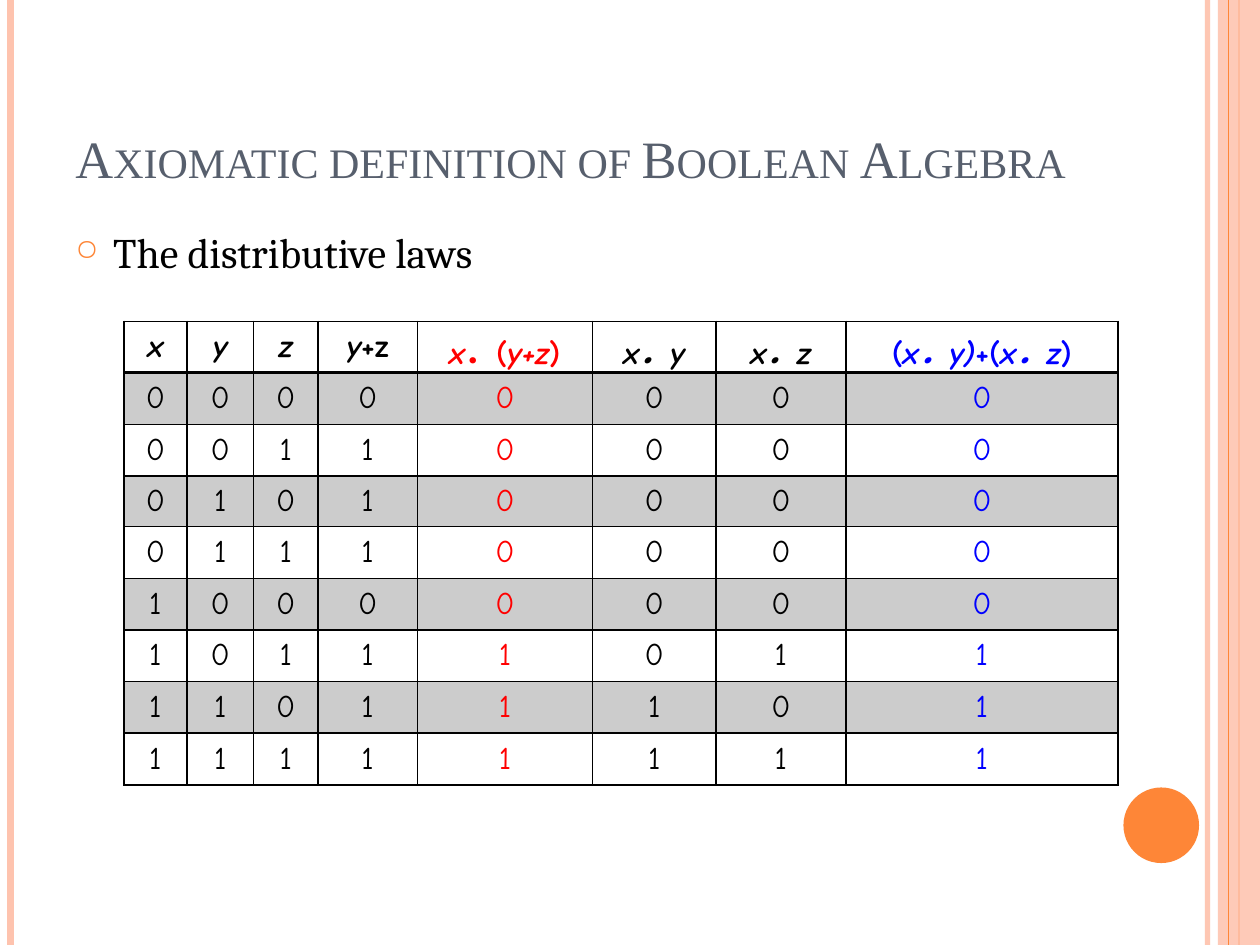
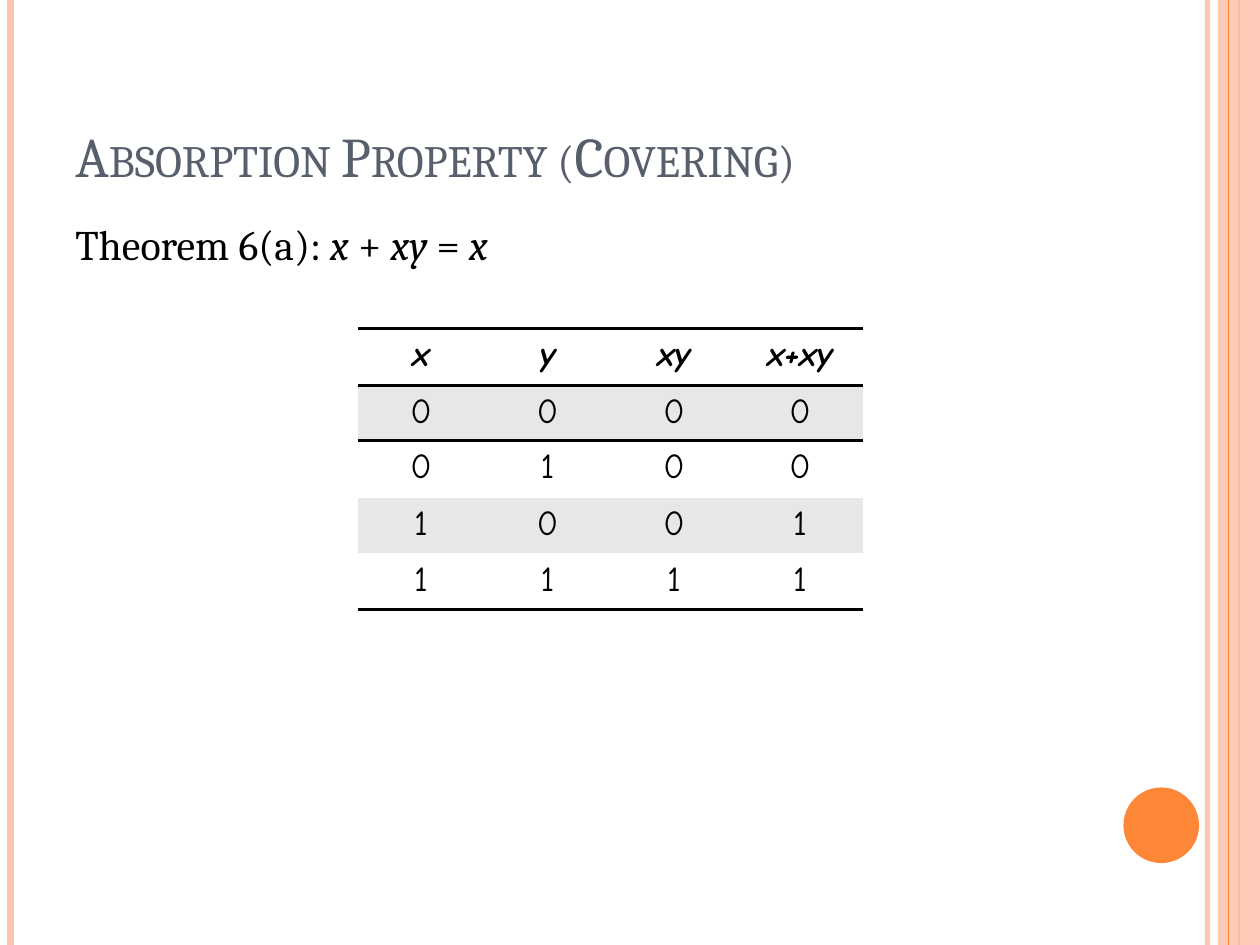
from itertools import product

from lxml.etree import SubElement
from pptx import Presentation
from pptx.dml.color import RGBColor
from pptx.enum.shapes import MSO_CONNECTOR as LINK, MSO_SHAPE as SHAPE
from pptx.enum.text import MSO_ANCHOR as ANCHOR, PP_ALIGN as ALIGN
from pptx.oxml.ns import qn
from pptx.util import Inches, Pt

CELL = Inches(10) // 120
COLUMNS, ROWS = 120, 90
BLACK, WHITE, SLATE = "000000", "FFFFFF", "575F6D"
ORANGE, PEACH, RED, BLUE = "FE8637", "FEC3AE", "FF0000", "0000FF"
PLAIN_TABLE = "{2D5ABB26-0587-4C30-8999-92F81FD0307C}"


def paint(fill, color, owner=None, opacity=100):
    fill.solid()
    fill.fore_color.rgb = RGBColor.from_string(color)
    if opacity < 100:
        for shade in owner.iter(qn("a:srgbClr")):
            SubElement(shade, qn("a:alpha"), val=str(opacity * 1000))


def write(frame, text, font="Cambria", size=24, color=BLACK, bold=False,
          align=ALIGN.LEFT, anchor=ANCHOR.TOP, small_caps=False, before=0, spacing=1):
    frame.word_wrap = True
    frame.vertical_anchor = anchor
    paragraph = frame.paragraphs[0]
    paragraph.alignment = align
    paragraph.space_before = Pt(before)
    paragraph.line_spacing = spacing
    for position, part in enumerate(text.split("*")):
        if part:
            run = paragraph.add_run()
            run.text = part
            run.font.name, run.font.size = font, Pt(size)
            run.font.bold, run.font.italic = bold, position % 2 == 1
            paint(run.font.fill, color)
            if small_caps:
                run.font._element.set("cap", "small")
    return paragraph


distributive_rows = [
    (x, y, z, y | z, x & (y | z), x & y, x & z, x & y | x & z)
    for x, y, z in product((0, 1), repeat=3)
]
absorption_rows = [(x, y, x & y, x | x & y) for x, y in product((0, 1), repeat=2)]

lessons = [
    dict(
        title="Axiomatic definition of Boolean Algebra",
        title_font="Times New Roman", title_size=30,
        statement="The distributive laws", statement_top=21, spacing=1, bullet="○",
        header=["*x*", "*y*", "*z*", "*y*+z", "*x*．(*y+z*)", "*x．y*", "*x．z*",
                "(*x．y)*+(*x．z*)"],
        values=distributive_rows, accents={4: RED, 7: BLUE},
        corner=(11.8, 30.6), widths=[6, 6.36, 6.12, 9.48, 16.68, 11.76, 12.36, 25.92],
        heights=[4.92] * 3 + [4.56] + [4.92] * 5,
        size=18, anchor=ANCHOR.MIDDLE, stripe="CCCCCC", rule=1,
    ),
    dict(
        title="Absorption Property (Covering)",
        title_font="Cambria", title_size=32,
        statement="Theorem 6(a): *x* + *xy* = *x*", statement_top=20.8, spacing=0.9,
        bullet=None,
        header=["*x*", "*y*", "*xy*", "*x+xy*"],
        values=absorption_rows, accents={},
        corner=(34.1, 31.3), widths=[12, 12.1, 12, 12],
        heights=[5.4, 5.3, 5.4, 5.3, 5.4],
        size=20, anchor=ANCHOR.TOP, stripe="E7E7E7", rule=0,
    ),
]

deck = Presentation()
deck.slide_width, deck.slide_height = COLUMNS * CELL, ROWS * CELL

for lesson in lessons:
    slide = deck.slides.add_slide(deck.slide_layouts[6])
    paint(slide.background.fill, WHITE)

    for column, color, weight, opacity in [
        (115, PEACH, 3, 93), (1, PEACH, 4.5, 100), (118, ORANGE, 1.5, 100),
        (None, PEACH, 0, 87), (117, ORANGE, 0.75, 100),
    ]:
        if column is None:
            band = slide.shapes.add_shape(SHAPE.RECTANGLE, 116 * CELL, 0, 4 * CELL, ROWS * CELL)
            band.shadow.inherit = False
            band.line.fill.background()
            paint(band.fill, color, band.element.spPr, opacity)
            continue
        stripe = slide.shapes.add_connector(
            LINK.STRAIGHT, column * CELL, 0, column * CELL, ROWS * CELL)
        stripe.line.width = Pt(weight)
        paint(stripe.line.fill, color, stripe.element.spPr, opacity)
        SubElement(stripe.element.spPr, qn("a:effectLst"))

    disc = slide.shapes.add_shape(
        SHAPE.OVAL, 107 * CELL, 75 * CELL, int(7.2 * CELL), int(7.2 * CELL))
    disc.shadow.inherit = False
    disc.line.fill.background()
    paint(disc.fill, ORANGE)

    title = slide.shapes.add_textbox(6 * CELL, int(3.6 * CELL), 101 * CELL, 15 * CELL)
    write(title.text_frame, lesson["title"], font=lesson["title_font"],
          size=lesson["title_size"], color=SLATE, anchor=ANCHOR.BOTTOM, small_caps=True)

    statement = slide.shapes.add_textbox(
        6 * CELL, int(lesson["statement_top"] * CELL), 101 * CELL, 64 * CELL)
    law = write(statement.text_frame, lesson["statement"], before=6,
                spacing=lesson["spacing"])
    indent = Inches(0.3 if lesson["bullet"] else 0.67)
    layout = law._p.get_or_add_pPr()
    layout.set("marL", str(indent))
    layout.set("indent", str(-indent))
    if lesson["bullet"]:
        SubElement(SubElement(layout, qn("a:buClr")), qn("a:srgbClr"), val=ORANGE)
        SubElement(layout, qn("a:buSzPct"), val="70000")
        SubElement(layout, qn("a:buChar"), char=lesson["bullet"])

    entries = [lesson["header"], *lesson["values"]]
    widths, heights, rule = lesson["widths"], lesson["heights"], lesson["rule"]
    left, top = lesson["corner"]
    holder = slide.shapes.add_table(
        len(heights), len(widths), int(left * CELL), int(top * CELL),
        int(sum(widths) * CELL), int(sum(heights) * CELL))
    truth_table = holder.table
    truth_table.first_row = truth_table.horz_banding = False
    for style in holder.element.iter(qn("a:tableStyleId")):
        style.text = PLAIN_TABLE
    for column, width in zip(truth_table.columns, widths):
        column.width = int(width * CELL)
    for row, height in zip(truth_table.rows, heights):
        row.height = int(height * CELL)

    last = len(entries) - 1
    for r, entry in enumerate(entries):
        above = 2 if r == 1 or (r == 0 and not rule) else rule
        below = 2 if r == 0 or (r == last and not rule) else rule
        for c, value in enumerate(entry):
            cell = truth_table.cell(r, c)
            properties = cell._tc.get_or_add_tcPr()
            for side, weight in zip("LRTB", (rule, rule, above, below)):
                if weight:
                    edge = SubElement(properties, qn(f"a:ln{side}"), w=str(Pt(weight)))
                    SubElement(SubElement(edge, qn("a:solidFill")), qn("a:srgbClr"), val=BLACK)
            paint(cell.fill, lesson["stripe"] if r % 2 else WHITE)
            write(cell.text_frame, str(value), font="Comic Neue", size=lesson["size"],
                  color=lesson["accents"].get(c, BLACK), bold=r == 0, align=ALIGN.CENTER)
            cell.vertical_anchor = lesson["anchor"]

deck.save("out.pptx")
